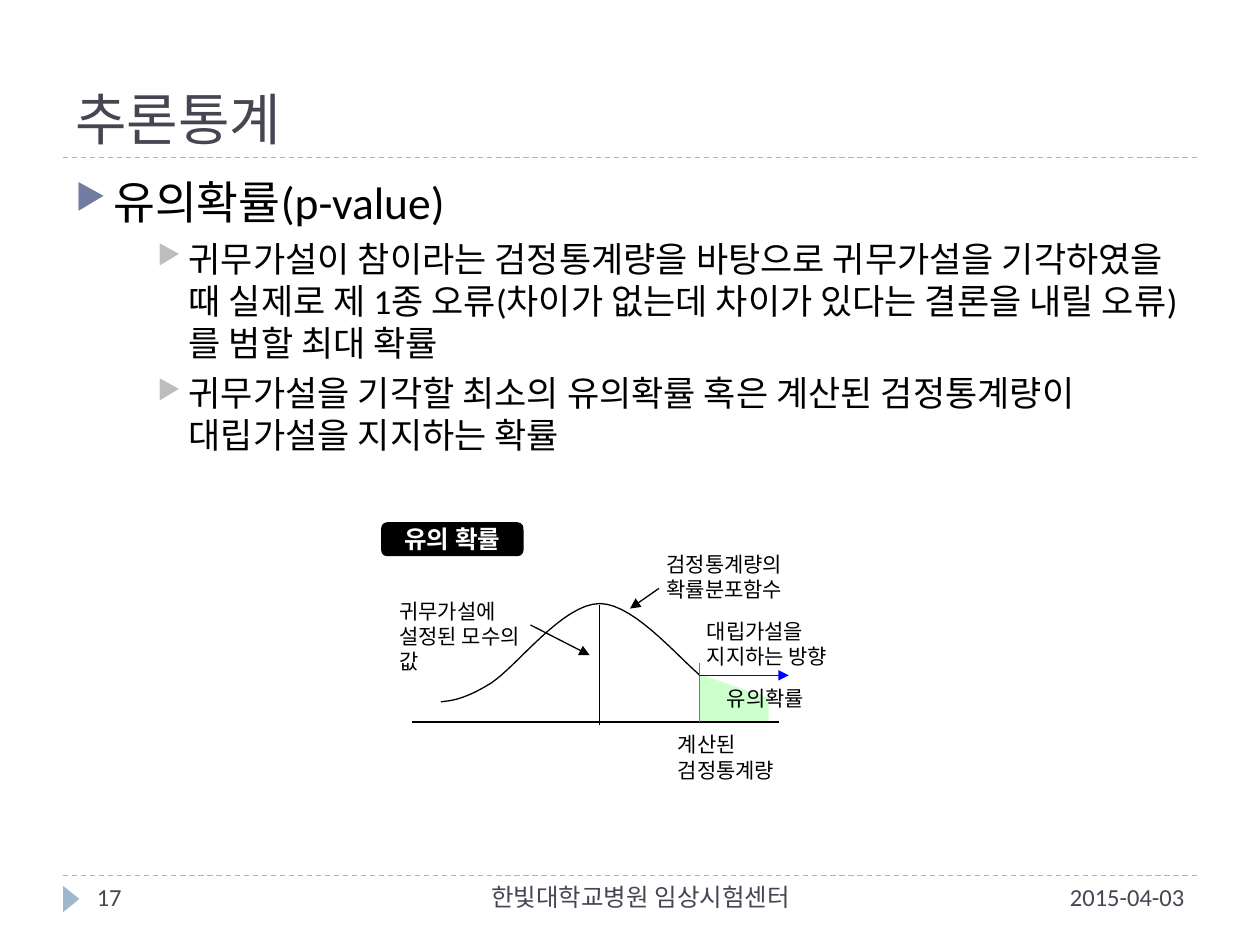
"""Build a slide that explains the p-value with a distribution sketch."""
from dataclasses import dataclass

from lxml import etree
from pptx import Presentation
from pptx.dml.color import RGBColor
from pptx.enum.dml import MSO_LINE
from pptx.enum.shapes import MSO_CONNECTOR, MSO_SHAPE
from pptx.enum.text import MSO_ANCHOR, PP_ALIGN
from pptx.oxml.ns import qn
from pptx.util import Inches, Pt

STRAIGHT = MSO_CONNECTOR.STRAIGHT
TRIANGLE = MSO_SHAPE.ISOSCELES_TRIANGLE
ROUNDED = MSO_SHAPE.ROUNDED_RECTANGLE
DASH = MSO_LINE.DASH
TOP, MIDDLE, BOTTOM = MSO_ANCHOR.TOP, MSO_ANCHOR.MIDDLE, MSO_ANCHOR.BOTTOM
LEFT, CENTER, RIGHT = PP_ALIGN.LEFT, PP_ALIGN.CENTER, PP_ALIGN.RIGHT

COLORS = {
    "black": "000000", "white": "FFFFFF", "slate": "464653", "sky": "9FB8CD",
    "indigo": "727CA3", "silver": "BDBDBD", "mint": "CCFFCC",
    "blue": "0000FF", "gray": "777777",
}
LATIN, KOREAN, HEADING = "Calibri", "Noto Sans CJK KR", "TeX Gyre Bonum"
CURVE_STEPS = 16

Point = tuple[float, float]


@dataclass
class Text:
    """A text box and its common formatting."""
    lines: list[str]
    at: tuple[float, float, float, float]
    size: float = 12
    font: str = KOREAN
    color: str = "black"
    align: PP_ALIGN = LEFT
    anchor: MSO_ANCHOR = TOP
    margin: float = 0.06
    spacing: float = 1.0


@dataclass
class Bullet:
    """A bulleted paragraph of the body."""
    text: str
    level: int
    size: float
    before: float
    indent: float
    hanging: float
    color: str


@dataclass
class Stroke:
    """A straight line, optionally dashed or ending in an arrow."""
    start: Point
    end: Point
    color: str = "black"
    dashed: bool = False
    arrow: bool = False


RULES = [Stroke((0.5, y), (9.5, y), "sky", dashed=True) for y in (6.95, 1.25)]
AXES = [Stroke((3.27, 5.73), (6.18, 5.73)), Stroke((4.76, 4.8), (4.76, 5.75)),
        Stroke((5.55, 5.26), (5.55, 5.73), "gray")]
ARROWS = [Stroke((5.23, 4.67), (5, 4.83), arrow=True),
          Stroke((4.21, 4.96), (4.68, 5.2), arrow=True),
          Stroke((5.55, 5.36), (6.26, 5.36), "blue", arrow=True)]
BULLETS = [
    Bullet("유의확률(p-value)", 0, 26, 6, 0.3, 0.3, "indigo"),
    *[Bullet(text, 2, 20, 5, 0.9, 0.25, "silver") for text in (
        "귀무가설이 참이라는 검정통계량을 바탕으로 귀무가설을 기각하였을 때 실제로 "
        "제 1종 오류(차이가 없는데 차이가 있다는 결론을 내릴 오류)를 범할 최대 확률",
        "귀무가설을 기각할 최소의 유의확률 혹은 계산된 검정통계량이 "
        "대립가설을 지지하는 확률")],
]
TITLE = Text(["추론통계"], (0.5, 0.17, 9, 1.08), 32, HEADING, "slate",
             anchor=BOTTOM, margin=0.1)
LABELS = [
    Text(["검정통계량의 확률분포함수"], (5.23, 4.33, 1.26, 0.5)),
    Text(["귀무가설에 설정된 모수의 값"], (3.11, 4.7, 1.26, 0.5)),
    Text(["유의확률"], (5.71, 5.39, 1.02, 0.36)),
    Text(["대립가설을 지지하는 방향"], (5.55, 4.86, 1.5, 0.5)),
    Text(["계산된", "검정통계량"], (5.32, 5.83, 1.1, 0.44), spacing=0.6),
]
FOOTERS = [
    Text([words], (left, 6.95, width, 0.4), 14, LATIN, "slate", align, margin=0.1)
    for words, left, width, align in (
        ("2015-04-03", 7, 2.5, RIGHT),
        ("한빛대학교병원 임상시험센터", 3.17, 3.83, CENTER),
        ("17", 0.67, 2.17, LEFT))
]
BELL = [
    [(3.5, 5.57), (3.59, 5.56), (3.69, 5.55), (3.9, 5.42)],
    [(3.9, 5.42), (4.11, 5.28), (4.47, 4.79), (4.76, 4.79)],
    [(4.76, 4.79), (5.05, 4.79), (5.43, 5.28), (5.63, 5.42)],
    [(5.63, 5.42), (5.83, 5.55), (5.88, 5.56), (5.94, 5.57)],
]
TAIL_AREA = [(5.55, 5.26), (5.55, 5.73), (6.1, 5.73), (6.1, 5.54), (5.55, 5.35)]


def rgb(name: str) -> RGBColor:
    """Return a named colour."""
    return RGBColor.from_string(COLORS[name])


def set_font(para, size: float, font: str, color: str) -> None:
    """Format a whole paragraph."""
    para.font.size, para.font.name = Pt(size), font
    para.font.color.rgb = rgb(color)


def add_text(page, text: Text) -> None:
    """Draw a text box."""
    box = page.shapes.add_textbox(*map(Inches, text.at))
    frame = box.text_frame
    frame.word_wrap, frame.vertical_anchor = True, text.anchor
    frame.margin_left = frame.margin_right = Inches(text.margin)
    frame.text = "\n".join(text.lines)
    for para in frame.paragraphs:
        para.alignment, para.line_spacing = text.align, text.spacing
        if text.font == KOREAN:
            para.space_before = Pt(text.size / 2)
        set_font(para, text.size, text.font, text.color)


def add_body(page, bullets: list[Bullet]) -> None:
    """Draw the bulleted body."""
    frame = page.shapes.add_textbox(*map(Inches, (0.5, 1.33, 9, 5.4))).text_frame
    frame.word_wrap = True
    for index, bullet in enumerate(bullets):
        para = frame.add_paragraph() if index else frame.paragraphs[0]
        para.text, para.level = bullet.text, bullet.level
        para.space_before = Pt(bullet.before)
        set_font(para, bullet.size, LATIN, "black")
        props = para._p.get_or_add_pPr()
        props.set("marL", str(Inches(bullet.indent)))
        props.set("indent", str(-Inches(bullet.hanging)))
        tint = etree.SubElement(props, qn("a:buClr"))
        etree.SubElement(tint, qn("a:srgbClr"), val=COLORS[bullet.color])
        etree.SubElement(props, qn("a:buSzPct"), val="76000")
        etree.SubElement(props, qn("a:buChar"), char="▶")
        props.append(props.find(qn("a:defRPr")))


def add_stroke(page, stroke: Stroke) -> None:
    """Draw a straight line."""
    line = page.shapes.add_connector(STRAIGHT, *map(Inches, stroke.start + stroke.end))
    line.line.color.rgb, line.line.width = rgb(stroke.color), Pt(0.75)
    if stroke.dashed:
        line.line.dash_style = DASH
    props = line._element.spPr
    if stroke.arrow:
        etree.SubElement(props.find(qn("a:ln")), qn("a:tailEnd"), type="triangle")
    etree.SubElement(props, qn("a:effectLst"))


def paint(shape, fill: str | None, line: str | None) -> None:
    """Set the fill and outline of a shape, None meaning absent."""
    shape.shadow.inherit = False
    for part, color in ((shape.fill, fill), (shape.line.fill, line)):
        if color:
            part.solid()
            part.fore_color.rgb = rgb(color)
        else:
            part.background()
    if line:
        shape.line.width = Pt(0.75)


def add_outline(page, points: list[Point], closed: bool):
    """Draw a freeform through the points."""
    first, *rest = [(Inches(x), Inches(y)) for x, y in points]
    builder = page.shapes.build_freeform(*first)
    builder.add_line_segments(rest, close=closed)
    return builder.convert_to_shape()


def bezier(controls: list[Point], t: float) -> Point:
    """Return the point at t on a cubic curve."""
    weights = ((1 - t) ** 3, 3 * t * (1 - t) ** 2, 3 * t * t * (1 - t), t ** 3)
    x, y = (sum(w * v for w, v in zip(weights, axis)) for axis in zip(*controls))
    return x, y


def add_badge(page) -> None:
    """Draw the sketch's heading badge."""
    badge = page.shapes.add_shape(ROUNDED, *map(Inches, (3.03, 4.15, 1.12, 0.26)))
    badge.adjustments[0] = 0.167
    paint(badge, "black", "black")
    frame = badge.text_frame
    frame.word_wrap, frame.vertical_anchor = False, MIDDLE
    frame.text = "유의 확률"
    para = frame.paragraphs[0]
    para.alignment, para.font.bold = CENTER, True
    set_font(para, 14, KOREAN, "white")


def main() -> None:
    """Build and save the deck."""
    deck = Presentation()
    deck.slide_width, deck.slide_height = Inches(10), Inches(7.5)
    page = deck.slides.add_slide(deck.slide_layouts[6])
    for rule in RULES:
        add_stroke(page, rule)
    marker = page.shapes.add_shape(TRIANGLE, *map(Inches, (0.46, 7.07, 0.21, 0.13)))
    marker.rotation = 90
    paint(marker, "sky", None)
    add_text(page, TITLE)
    add_body(page, BULLETS)
    add_badge(page)
    curve = BELL[0][:1] + [bezier(part, step / CURVE_STEPS) for part in BELL
                           for step in range(1, CURVE_STEPS + 1)]
    paint(add_outline(page, curve, False), None, "black")
    paint(add_outline(page, TAIL_AREA, True), "mint", None)
    for stroke in AXES + ARROWS:
        add_stroke(page, stroke)
    for text in LABELS + FOOTERS:
        add_text(page, text)
    deck.save("out.pptx")


if __name__ == "__main__":
    main()
